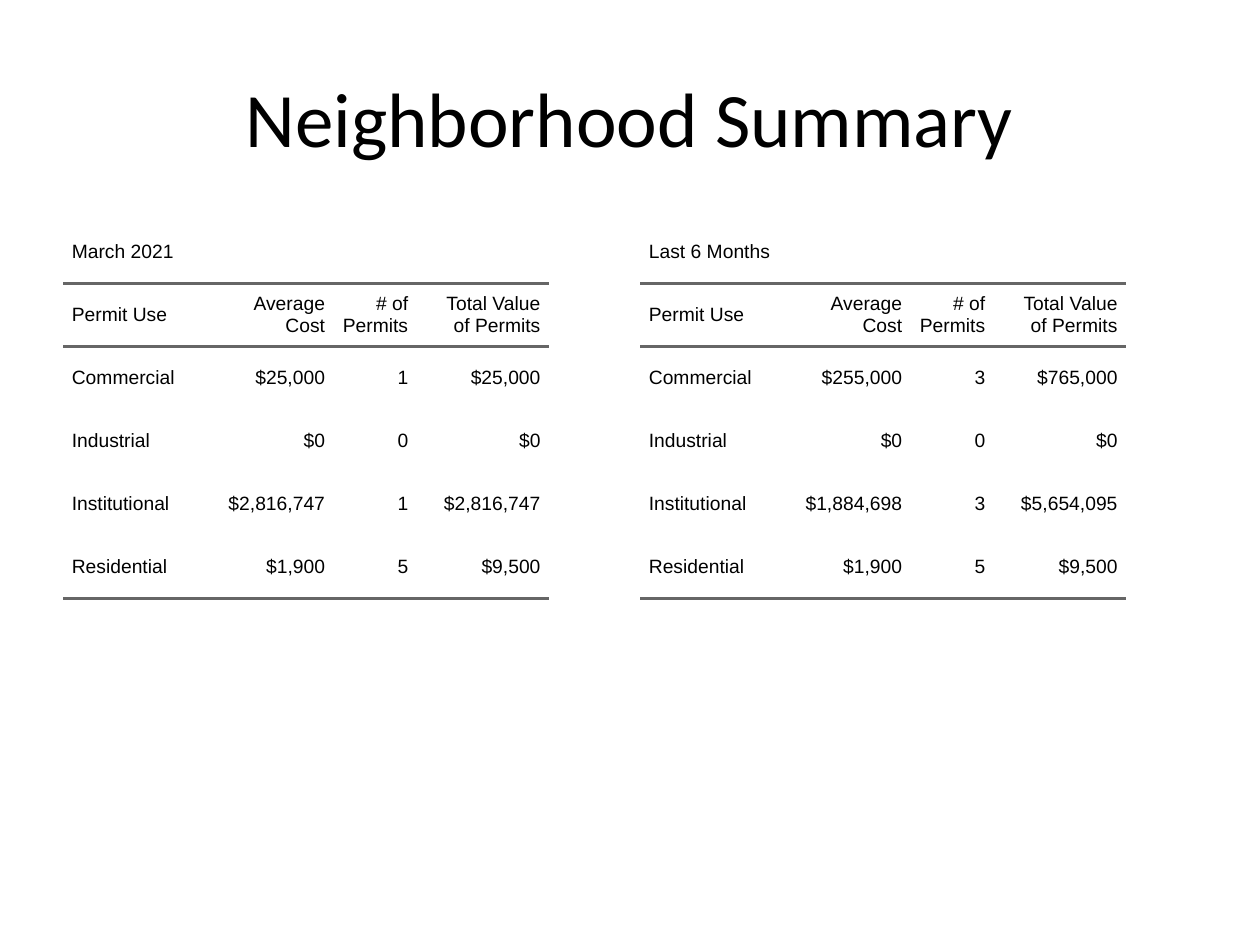
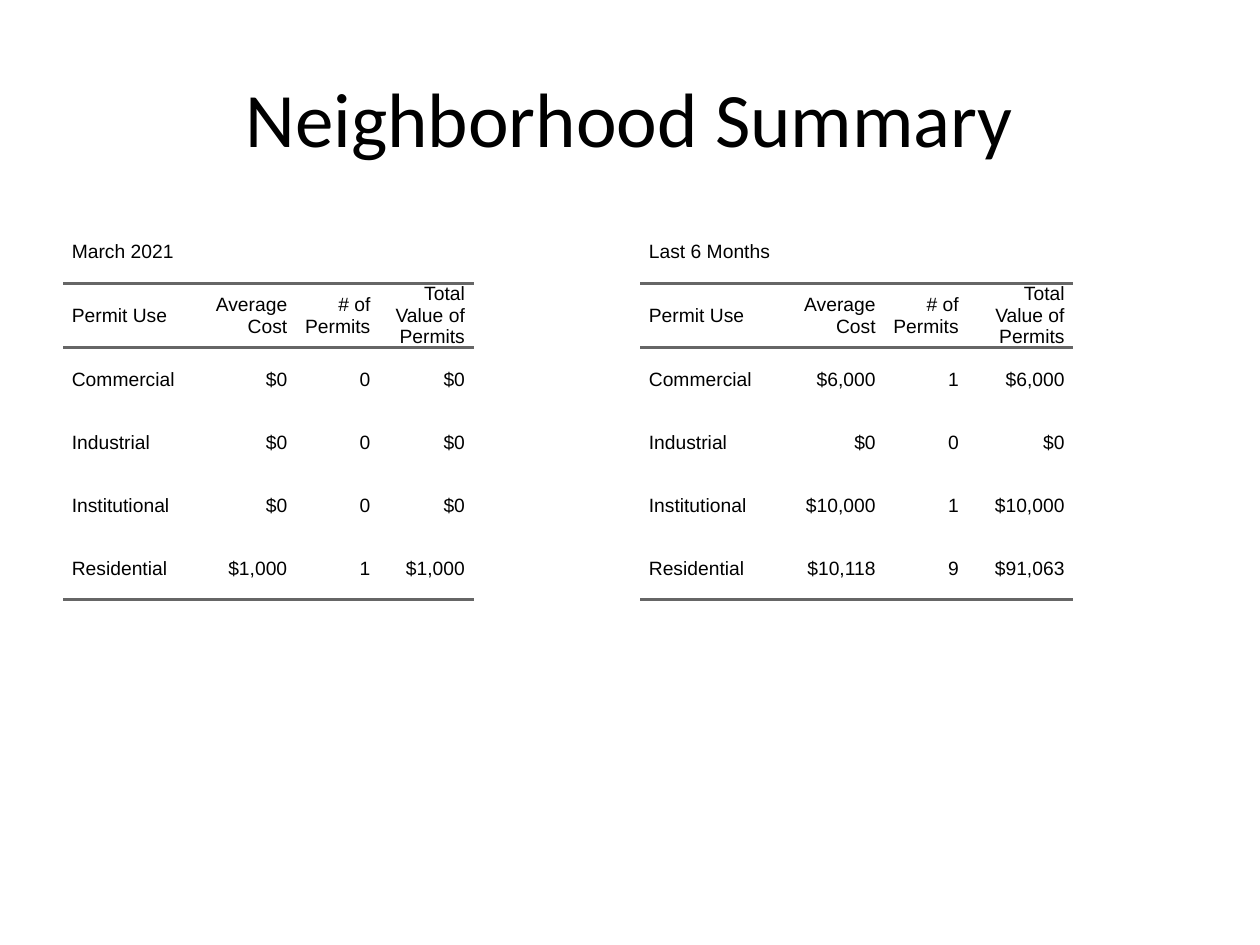
from lxml import etree
from pptx import Presentation
from pptx.dml.color import RGBColor
from pptx.enum.text import MSO_ANCHOR, PP_ALIGN
from pptx.oxml.ns import qn
from pptx.util import Inches, Pt

LEFT, CENTER, RIGHT = PP_ALIGN.LEFT, PP_ALIGN.CENTER, PP_ALIGN.RIGHT
MIDDLE = MSO_ANCHOR.MIDDLE
TITLE_ONLY = 5
PLAIN_TABLE_STYLE = "{2D5ABB26-0587-4C30-8999-92F81FD0307C}"

COLORS = {"text": "000000", "rule": "666666"}

# Shared grid, in inches
SLIDE_WIDTH, SLIDE_HEIGHT = 10, 7.5
MARGIN = 0.05 * SLIDE_WIDTH
TABLE_LEFTS = (MARGIN, 5.08)
TABLE_TOP = 1.75
ROW_HEIGHT = 0.5
USE_WIDTH, COUNT_WIDTH = 1.1, 0.66
CELL_PADDING = 0.07
RULE_POINTS = 2

# Shared wording
TITLE = "Neighborhood Summary"
PERIODS = ("March 2021", "Last 6 Months")
HEADINGS = ("Permit Use", "Average Cost", "# of Permits", "Total Value of Permits")
USES = ("Commercial", "Industrial", "Institutional", "Residential")

# Per slide, one entry per period: money column width, then
# average cost, number of permits and total value for each use
NEIGHBORHOODS = [
    [
        (1.05, [("$25,000", "1", "$25,000"), ("$0", "0", "$0"),
                ("$2,816,747", "1", "$2,816,747"), ("$1,900", "5", "$9,500")]),
        (1.05, [("$255,000", "3", "$765,000"), ("$0", "0", "$0"),
                ("$1,884,698", "3", "$5,654,095"), ("$1,900", "5", "$9,500")]),
    ],
    [
        (0.75, [("$0", "0", "$0"), ("$0", "0", "$0"),
                ("$0", "0", "$0"), ("$1,000", "1", "$1,000")]),
        (0.84, [("$6,000", "1", "$6,000"), ("$0", "0", "$0"),
                ("$10,000", "1", "$10,000"), ("$10,118", "9", "$91,063")]),
    ],
]


def style_paragraph(paragraph, font_name, size, alignment):
    paragraph.alignment = alignment
    paragraph.font.name = font_name
    paragraph.font.size = Pt(size)
    paragraph.font.color.rgb = RGBColor.from_string(COLORS["text"])


def add_rule(cell, side):
    properties = cell._tc.get_or_add_tcPr()
    line = etree.SubElement(properties, qn("a:ln" + side), w=str(Pt(RULE_POINTS)))
    fill = etree.SubElement(line, qn("a:solidFill"))
    etree.SubElement(fill, qn("a:srgbClr"), val=COLORS["rule"])


presentation = Presentation()
presentation.slide_width = Inches(SLIDE_WIDTH)
presentation.slide_height = Inches(SLIDE_HEIGHT)

for neighborhood in NEIGHBORHOODS:
    slide = presentation.slides.add_slide(presentation.slide_layouts[TITLE_ONLY])

    # Title
    title = slide.shapes.title
    title.left, title.top = Inches(MARGIN), Inches(0.04 * SLIDE_HEIGHT)
    title.width, title.height = Inches(SLIDE_WIDTH - 2 * MARGIN), Inches(1.25)
    title.text_frame.text = TITLE
    title.text_frame.vertical_anchor = MIDDLE
    style_paragraph(title.text_frame.paragraphs[0], "Calibri", 44, CENTER)

    # One permit table per period
    for left, period, (money_width, figures) in zip(TABLE_LEFTS, PERIODS, neighborhood):
        rows = [(period, "", "", ""), HEADINGS]
        rows += [(use, *values) for use, values in zip(USES, figures)]
        widths = (USE_WIDTH, money_width, COUNT_WIDTH, money_width)
        table = slide.shapes.add_table(
            len(rows), len(widths), Inches(left), Inches(TABLE_TOP),
            Inches(sum(widths)), Inches(ROW_HEIGHT * len(rows))).table
        table.first_row = table.horz_banding = False
        table._tbl.tblPr.find(qn("a:tableStyleId")).text = PLAIN_TABLE_STYLE
        for column, width in zip(table.columns, widths):
            column.width = Inches(width)

        ruled_sides = {1: "TB", len(rows) - 1: "B"}
        for row_index, row in enumerate(rows):
            table.rows[row_index].height = Inches(ROW_HEIGHT)
            for column_index, text in enumerate(row):
                cell = table.cell(row_index, column_index)
                cell.text = text
                cell.vertical_anchor = MIDDLE
                cell.margin_left = cell.margin_right = Inches(CELL_PADDING)
                cell.margin_top = cell.margin_bottom = 0
                style_paragraph(cell.text_frame.paragraphs[0], "Arial", 11,
                                RIGHT if column_index else LEFT)
                for side in ruled_sides.get(row_index, ""):
                    add_rule(cell, side)
                cell.fill.background()
        table.cell(0, 0).merge(table.cell(0, len(widths) - 1))

presentation.save("out.pptx")
